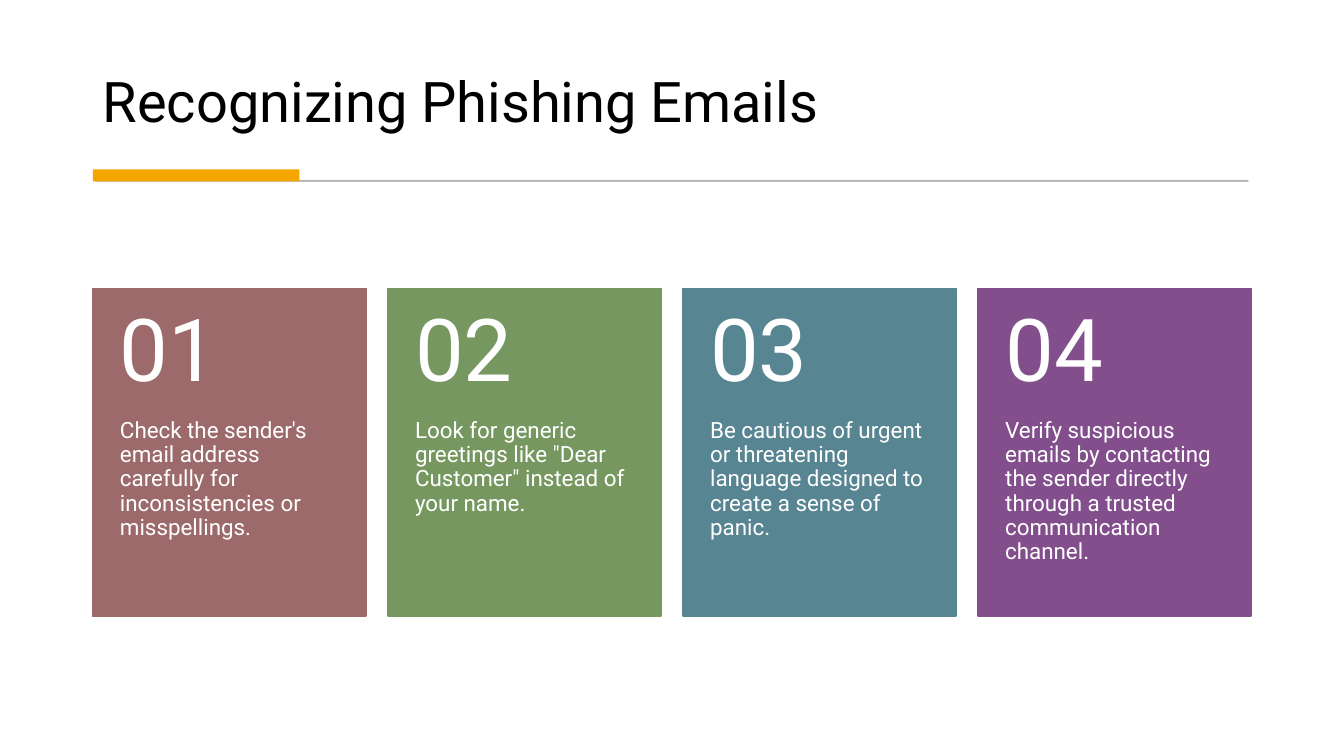
from dataclasses import dataclass

from lxml.etree import SubElement
from pptx import Presentation
from pptx.dml.color import RGBColor
from pptx.enum.shapes import MSO_SHAPE
from pptx.enum.text import MSO_ANCHOR, MSO_AUTO_SIZE, PP_ALIGN
from pptx.oxml.ns import qn
from pptx.shapes.autoshape import Shape
from pptx.shapes.shapetree import GroupShapes, SlideShapes
from pptx.text.text import TextFrame
from pptx.util import Inches, Pt

FONT = "Roboto"
WHITE = "FFFFFF"
LEFT = 0.92
CONTENT_WIDTH = 11.49
CARD_TOP = 2.86
CARD_WIDTH = 2.71
CARD_HEIGHT = 3.25
NUMBER_HEIGHT = 1.3
SIDE_INSET = 0.27


@dataclass(frozen=True)
class Box:
    left: float
    top: float
    width: float
    height: float

    def lengths(self) -> tuple[Inches, Inches, Inches, Inches]:
        return Inches(self.left), Inches(self.top), Inches(self.width), Inches(self.height)


@dataclass(frozen=True)
class Tip:
    color: str
    advice: str


TIPS = [
    Tip("9C6A6A", "Check the sender's email address carefully for inconsistencies or misspellings."),
    Tip("769860", 'Look for generic greetings like "Dear Customer" instead of your name.'),
    Tip("578592", "Be cautious of urgent or threatening language designed to create a sense of panic."),
    Tip("824F8C", "Verify suspicious emails by contacting the sender directly "
                  "through a trusted communication channel."),
]


def rgb(color: str) -> RGBColor:
    return RGBColor.from_string(color)


def add_rectangle(shapes: SlideShapes | GroupShapes, box: Box, color: str, line_width: float = 0) -> Shape:
    rectangle = shapes.add_shape(MSO_SHAPE.RECTANGLE, *box.lengths())
    rectangle.shadow.inherit = False
    rectangle.fill.solid()
    rectangle.fill.fore_color.rgb = rgb(color)
    if line_width:
        rectangle.line.color.rgb = rgb(color)
        rectangle.line.width = Pt(line_width)
    else:
        rectangle.line.fill.background()
    return rectangle


def set_opacity(shape: Shape, percent: int) -> None:
    for color in list(shape.element.spPr.iter(qn("a:srgbClr"))):
        SubElement(color, qn("a:alpha")).set("val", str(percent * 1000))


def write(frame: TextFrame, text: str, size: float, color: str, anchor: MSO_ANCHOR) -> None:
    frame.word_wrap = True
    frame.auto_size = MSO_AUTO_SIZE.NONE
    frame.vertical_anchor = anchor
    paragraph = frame.paragraphs[0]
    paragraph.alignment = PP_ALIGN.LEFT
    paragraph.line_spacing = 0.9
    run = paragraph.add_run()
    run.text = text
    run.font.name = FONT
    run.font.size = Pt(size)
    run.font.color.rgb = rgb(color)


def add_label(shapes: GroupShapes, box: Box, text: str, size: float,
              anchor: MSO_ANCHOR, top_inset: float, bottom_inset: float) -> None:
    frame = shapes.add_textbox(*box.lengths()).text_frame
    frame.margin_left = frame.margin_right = Inches(SIDE_INSET)
    frame.margin_top = Inches(top_inset)
    frame.margin_bottom = Inches(bottom_inset)
    write(frame, text, size, WHITE, anchor)


def add_card(shapes: SlideShapes, left: float, number: int, tip: Tip) -> None:
    card = shapes.add_group_shape().shapes
    add_rectangle(card, Box(left, CARD_TOP, CARD_WIDTH, CARD_HEIGHT), tip.color, 1)
    advice_box = Box(left, CARD_TOP + NUMBER_HEIGHT, CARD_WIDTH, CARD_HEIGHT - NUMBER_HEIGHT)
    add_label(card, advice_box, tip.advice, 16, MSO_ANCHOR.TOP, 0, 0.36)
    number_box = Box(left, CARD_TOP, CARD_WIDTH, NUMBER_HEIGHT)
    add_label(card, number_box, f"{number:02d}", 62, MSO_ANCHOR.MIDDLE, 0.18, 0.18)


def main() -> None:
    presentation = Presentation()
    presentation.slide_width = Inches(13.33)
    presentation.slide_height = Inches(7.5)
    slide = presentation.slides.add_slide(presentation.slide_layouts[5])
    shapes = slide.shapes

    title = shapes.title
    title.left, title.top, title.width, title.height = Box(LEFT, 0.28, CONTENT_WIDTH, 1.11).lengths()
    write(title.text_frame, "Recognizing Phishing Emails", 40, "000000", MSO_ANCHOR.BOTTOM)

    divider = add_rectangle(shapes, Box(0.95, 1.79, 11.43, 0.01), "595959", 0.75)
    set_opacity(divider, 30)
    add_rectangle(shapes, Box(LEFT, 1.68, 2.05, 0.12), "F5A700")

    card_step = (CONTENT_WIDTH - CARD_WIDTH) / (len(TIPS) - 1)
    for index, tip in enumerate(TIPS):
        add_card(shapes, LEFT + index * card_step, index + 1, tip)

    presentation.save("out.pptx")


if __name__ == "__main__":
    main()
